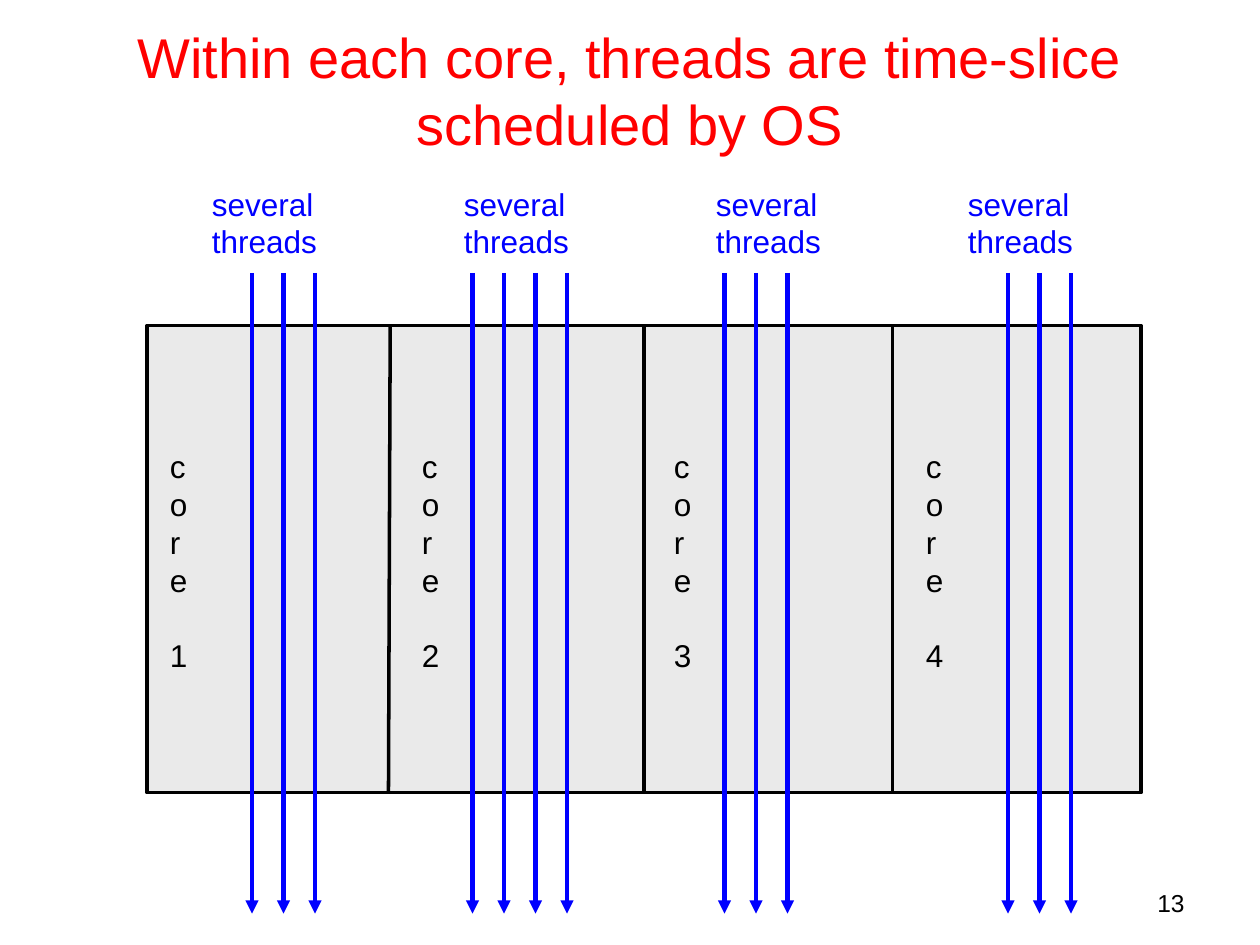
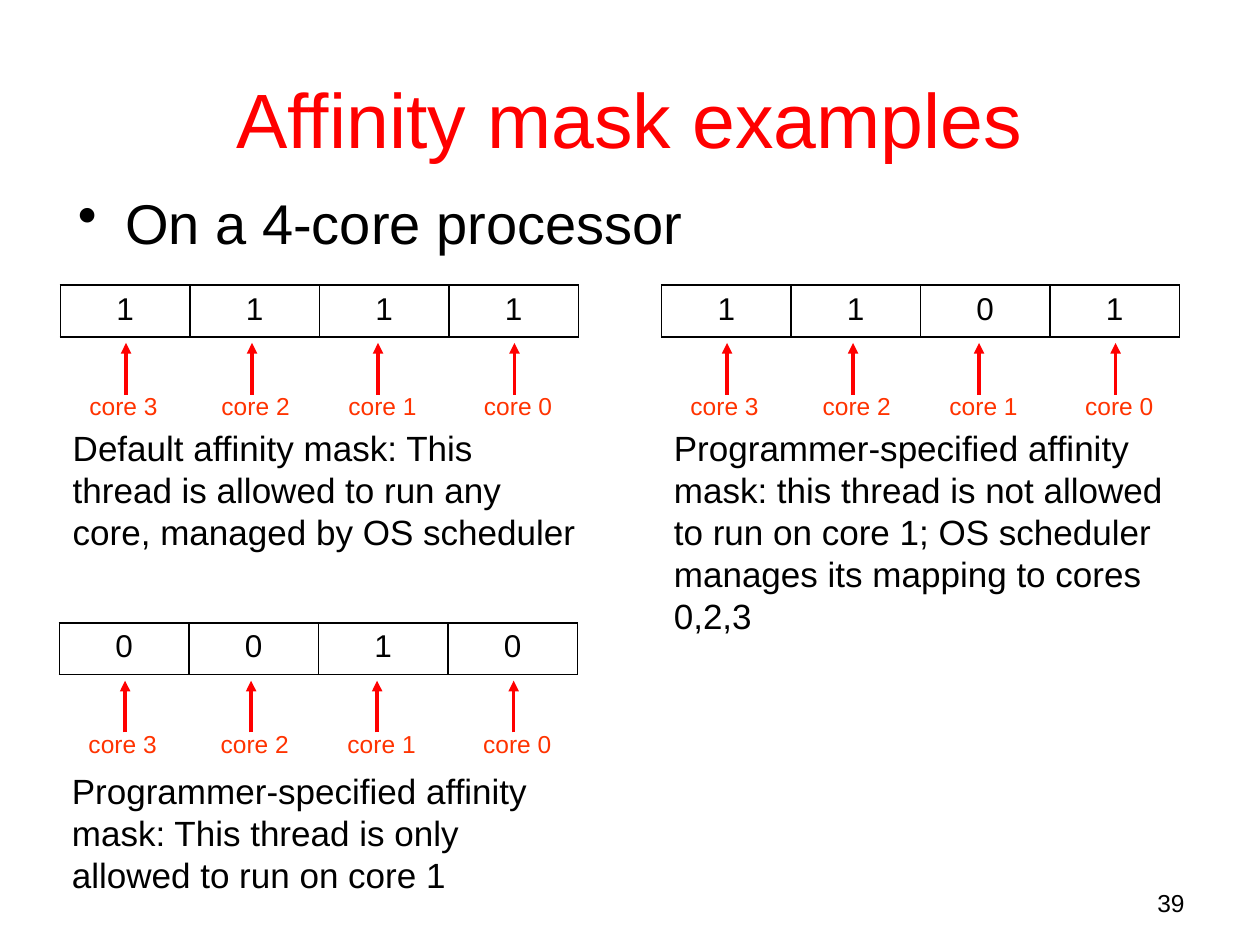
from dataclasses import dataclass

from lxml import etree
from pptx import Presentation
from pptx.dml.color import RGBColor
from pptx.enum import shapes, text
from pptx.oxml import ns
from pptx.util import Pt


@dataclass(frozen=True)
class Theme:
    font: str = "Arial"
    ink: str = "000000"
    title: str = "FF0000"
    thread: str = "0000FF"
    pointer: str = "FF0000"
    core_name: str = "FF3300"
    core_fill: str = "EAEAEA"
    title_size: float = 44
    long_title_size: float = 32
    body_size: float = 32
    caption_size: float = 20
    label_size: float = 18
    small_size: float = 14


THEME = Theme()
LEFT, CENTER, RIGHT = text.PP_ALIGN.LEFT, text.PP_ALIGN.CENTER, text.PP_ALIGN.RIGHT
BLANK_LAYOUT = 6


def add_xml(parent, tag, **attributes):
    return etree.SubElement(parent, ns.qn(tag), attributes)


def write(frame, content, size=THEME.label_size, color=THEME.ink, align=LEFT,
          anchor=text.MSO_ANCHOR.TOP, gap=0, bullet=None, hang=27):
    frame.word_wrap = True
    frame.vertical_anchor = anchor
    for index, line in enumerate([content] if isinstance(content, str) else content):
        paragraph = frame.add_paragraph() if index else frame.paragraphs[0]
        paragraph.text = line
        paragraph.alignment = align
        paragraph.space_before = Pt(gap if index else 0)
        if bullet:
            properties = paragraph._p.get_or_add_pPr()
            properties.set("marL", str(Pt(hang)))
            properties.set("indent", str(-Pt(hang)))
            add_xml(properties, "a:buChar", char=bullet)
        for run in paragraph.runs:
            run.font.name = THEME.font
            run.font.size = Pt(size)
            run.font.bold = False
            run.font.color.rgb = RGBColor.from_string(color)


def add_text(slide, content, box, **style):
    write(slide.shapes.add_textbox(*map(Pt, box)).text_frame, content, **style)


def add_line(slide, start, end, color=THEME.ink, width=2.0, arrow=False):
    line = slide.shapes.add_connector(
        shapes.MSO_CONNECTOR.STRAIGHT, *map(Pt, (*start, *end)))
    line.line.color.rgb = RGBColor.from_string(color)
    line.line.width = Pt(width)
    if arrow:
        add_xml(line.line._get_or_add_ln(), "a:tailEnd", type="triangle")
    add_xml(line._element.spPr, "a:effectLst")
    return line


def start_slide(deck, title, number, title_top, title_size):
    slide = deck.slides.add_slide(deck.slide_layouts[BLANK_LAYOUT])
    add_text(slide, number, (516, 504, 168, 25), size=THEME.small_size, align=RIGHT)
    add_text(slide, title, (36, title_top, 648, 90), size=title_size,
             color=THEME.title, align=CENTER, anchor=text.MSO_ANCHOR.MIDDLE)
    return slide


def draw_processor(slide, box):
    left, top, width, height = box
    processor = slide.shapes.add_shape(shapes.MSO_SHAPE.RECTANGLE, *map(Pt, box))
    processor.shadow.inherit = False
    processor.fill.solid()
    processor.fill.fore_color.rgb = RGBColor.from_string(THEME.core_fill)
    processor.line.color.rgb = RGBColor.from_string(THEME.ink)
    processor.line.width = Pt(2)
    bottom = top + height
    for upper, lower in ((139, 138), (426, 426)):
        add_line(slide, (left + upper, top), (left + lower, bottom))
    center = left + width / 2
    middle_wall = add_line(slide, (center, top), (center, bottom))
    middle_wall.begin_connect(processor, 0)
    middle_wall.end_connect(processor, 2)


def draw_core(slide, left, top, number, first_thread, thread_count):
    add_text(slide, ["core", str(number)], (left, top + 150, 26, 137), gap=21.5)
    add_text(slide, "several\nthreads", (left + 24, top, 78, 50), color=THEME.thread)
    for index in range(thread_count):
        x = left + first_thread + 18 * index
        add_line(slide, (x, top + 54), (x, top + 420),
                 color=THEME.thread, width=2.5, arrow=True)


def draw_mask_bits(slide, bits, box):
    bit_table = slide.shapes.add_table(1, len(bits), *map(Pt, box)).table
    bit_table.first_row = bit_table.horz_banding = False
    for cell, bit in zip(bit_table.iter_cells(), bits):
        write(cell.text_frame, bit, align=CENTER)
        properties = cell._tc.get_or_add_tcPr()
        for side in ("lnL", "lnR", "lnT", "lnB"):
            border = add_xml(properties, f"a:{side}", w=str(Pt(1)))
            add_xml(add_xml(border, "a:solidFill"), "a:srgbClr", val=THEME.ink)
        cell.fill.background()


def draw_mask(slide, left, top, bits, caption, caption_box):
    draw_mask_bits(slide, bits, (left, top, 296, 29.5))
    pointers = ((37.5, 9.5), (109.5, 85), (181.5, 157.5), (259.5, 235))
    for core, (pointer, name) in zip((3, 2, 1, 0), pointers):
        add_text(slide, f"core {core}", (left + name, top + 57, 55, 24),
                 size=THEME.small_size, color=THEME.core_name)
        add_line(slide, (left + pointer, top + 62.5), (left + pointer, top + 33),
                 color=THEME.pointer, arrow=True)
    offset, height = caption_box
    add_text(slide, caption, (left, top + offset, 302, height), size=THEME.caption_size)


def build_threads_slide(deck):
    slide = start_slide(deck, "Within each core, threads are time-slice scheduled by OS",
                        "13", 6, THEME.long_title_size)
    draw_processor(slide, (84, 186, 568, 267))
    for index, threads in enumerate(((54, 3), (36, 4), (36, 3), (54, 3))):
        draw_core(slide, 90 + 144 * index, 102, index + 1, *threads)


def build_affinity_slide(deck):
    slide = start_slide(deck, "Affinity mask examples", "39", 22, THEME.title_size)
    add_text(slide, "On a 4-core processor", (37.5, 104, 648, 372),
             size=THEME.body_size, bullet="•")
    masks = (
        (34.5, 163, "1111", "Default affinity mask: This thread is allowed to run any "
         "core, managed by OS scheduler", (77, 80)),
        (378, 163, "1101", "Programmer-specified affinity mask: this thread is not "
         "allowed to run on core 1; OS scheduler manages its mapping to cores 0,2,3",
         (77, 128)),
        (34, 356, "0010", "Programmer-specified affinity mask: This thread is only "
         "allowed to run on core 1", (80, 80)),
    )
    for mask in masks:
        draw_mask(slide, *mask)


def main():
    deck = Presentation()
    deck.slide_width, deck.slide_height = Pt(720), Pt(540)
    build_threads_slide(deck)
    build_affinity_slide(deck)
    deck.save("out.pptx")


if __name__ == "__main__":
    main()
